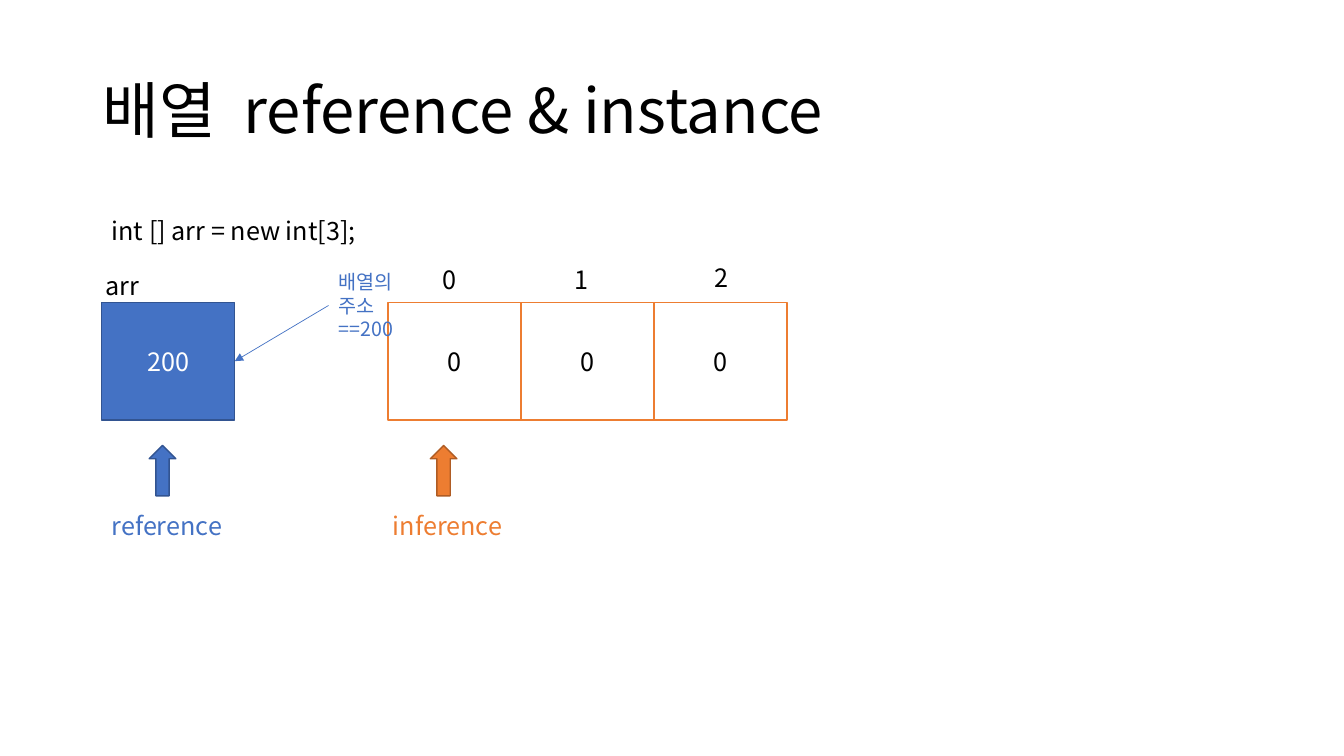
import pptx
import pptx.dml.color
import pptx.enum.shapes
import pptx.enum.text
import pptx.oxml
import pptx.oxml.ns
import pptx.util

Pt = pptx.util.Pt
Shape = pptx.enum.shapes.MSO_SHAPE
Align = pptx.enum.text.PP_ALIGN
Anchor = pptx.enum.text.MSO_ANCHOR

COLORS = {
    "black": "000000",
    "white": "FFFFFF",
    "blue": "4472C4",
    "dark_blue": "325491",
    "orange": "ED7D31",
    "dark_orange": "AF5C24",
}
FONT = "Noto Sans CJK KR"
CELL_WIDTH, CELL_HEIGHT, CELL_TOP = 95, 84, 216
REFERENCE_LEFT, ARRAY_LEFT = 72.7, 277.2


class ArrayPage:
    """Holds the style and the current slide, and draws each kind of element."""

    def __init__(self, deck):
        self.page = deck.slides.add_slide(deck.slide_layouts[5])

    def color(self, name):
        return pptx.dml.color.RGBColor.from_string(COLORS[name])

    def add_span(self, para, text, size, color, spacing=0):
        span = para.add_run()
        span.text = text
        span.font.name = FONT
        span.font.size = Pt(size)
        span.font.color.rgb = self.color(color)
        properties = span.font._element
        east_asian = pptx.oxml.parse_xml(f'<a:ea {pptx.oxml.ns.nsdecls("a")} typeface="{FONT}"/>')
        properties.find(pptx.oxml.ns.qn("a:latin")).addnext(east_asian)
        if spacing:
            properties.set("spc", str(spacing * 100))

    def title(self, first, second):
        box = self.page.shapes.title
        box.left, box.top, box.width, box.height = Pt(66), Pt(28.8), Pt(828), Pt(104.4)
        box.text_frame.vertical_anchor = Anchor.MIDDLE
        para = box.text_frame.paragraphs[0]
        para.alignment = Align.LEFT
        para.line_spacing = 0.9
        self.add_span(para, first, 44, "black")
        self.add_span(para, " ", 44, "black", spacing=10)
        self.add_span(para, second, 44, "black")

    def label(self, text, left, top, width, color="black", size=18, height=29):
        box = self.page.shapes.add_textbox(Pt(left), Pt(top), Pt(width), Pt(height))
        box.text_frame.word_wrap = True
        self.add_span(box.text_frame.paragraphs[0], text, size, color)

    def shape(self, kind, left, top, width, height, fill, line):
        shape = self.page.shapes.add_shape(kind, Pt(left), Pt(top), Pt(width), Pt(height))
        shape.shadow.inherit = False
        shape.fill.solid()
        shape.fill.fore_color.rgb = self.color(fill)
        shape.line.color.rgb = self.color(line)
        shape.line.width = Pt(1)
        return shape

    def cell(self, text, left, fill, line, color):
        box = self.shape(Shape.RECTANGLE, left, CELL_TOP, CELL_WIDTH, CELL_HEIGHT, fill, line)
        box.text_frame.vertical_anchor = Anchor.MIDDLE
        para = box.text_frame.paragraphs[0]
        para.alignment = Align.CENTER
        self.add_span(para, text, 18, color)

    def pointer(self, text, arrow_left, text_left, fill, line):
        self.shape(Shape.UP_ARROW, arrow_left, 318.2, 19, 36, fill, line)
        self.label(text, text_left, 360.7, 111.6, fill)

    def arrow(self, start, end, color):
        line = self.page.shapes.add_connector(
            pptx.enum.shapes.MSO_CONNECTOR.STRAIGHT, *map(Pt, start + end))
        line.line.color.rgb = self.color(color)
        line.line.width = Pt(0.5)
        namespace = pptx.oxml.ns.nsdecls("a")
        line.line._get_or_add_ln().append(
            pptx.oxml.parse_xml(f'<a:tailEnd {namespace} type="triangle"/>'))
        line._element.spPr.append(pptx.oxml.parse_xml(f"<a:effectLst {namespace}/>"))


def main():
    deck = pptx.Presentation()
    deck.slide_width, deck.slide_height = Pt(960), Pt(540)
    page = ArrayPage(deck)
    page.title("배열", "reference & instance")
    page.label("int [] arr = new int[3];", REFERENCE_LEFT, 150.5, 214.6)
    page.cell("200", REFERENCE_LEFT, "blue", "dark_blue", "white")
    for index in range(3):
        page.cell("0", ARRAY_LEFT + index * CELL_WIDTH, "white", "orange", "black")
    page.label("arr", 68.4, 189.4, 54)
    page.arrow((234.7, 218.2), (REFERENCE_LEFT + CELL_WIDTH, CELL_TOP + CELL_HEIGHT / 2), "blue")
    page.label("배열의 주소 ==200", 234.7, 189.4, 64.8, "blue", size=14, height=58.3)
    for index, (left, top) in enumerate([(308.9, 185), (403.2, 185), (503.3, 183.6)]):
        page.label(str(index), left, top, 54)
    page.pointer("reference", 106.6, REFERENCE_LEFT, "blue", "dark_blue")
    page.pointer("inference", 307.4, 273.6, "orange", "dark_orange")
    deck.save("out.pptx")


if __name__ == "__main__":
    main()
